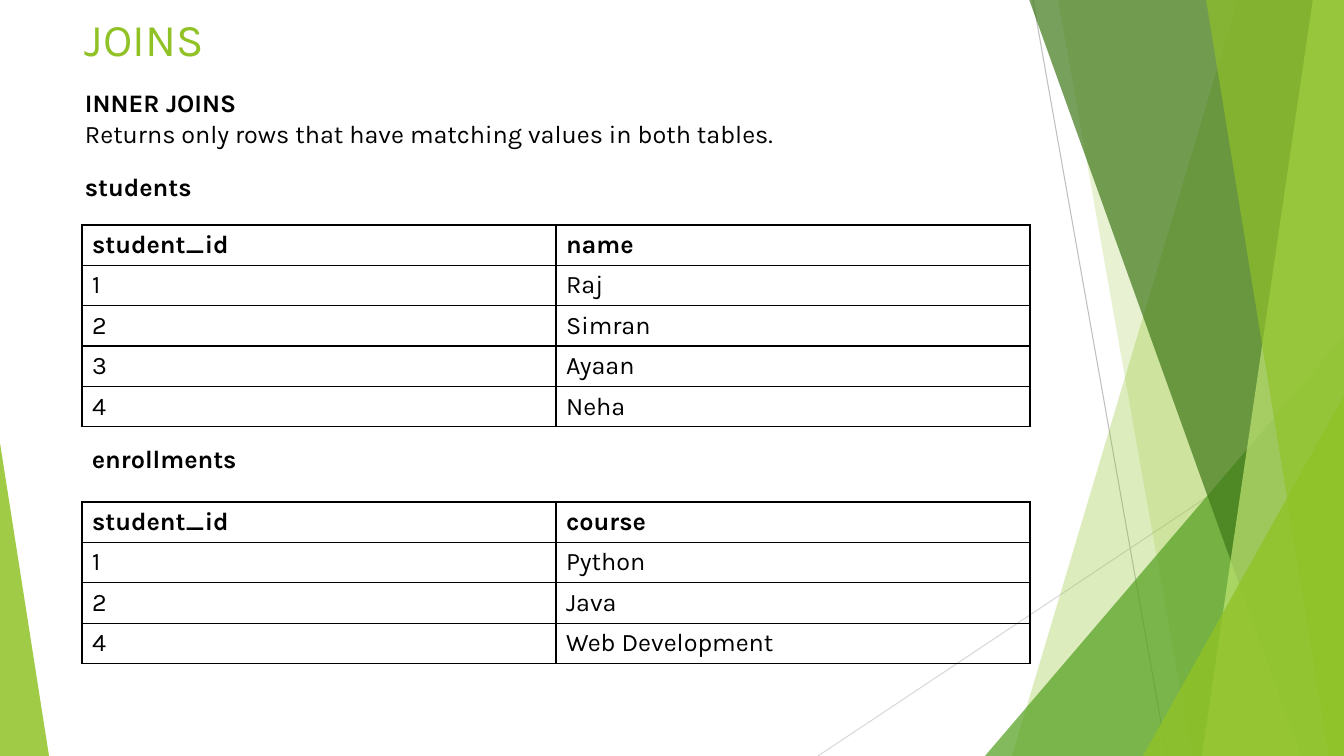
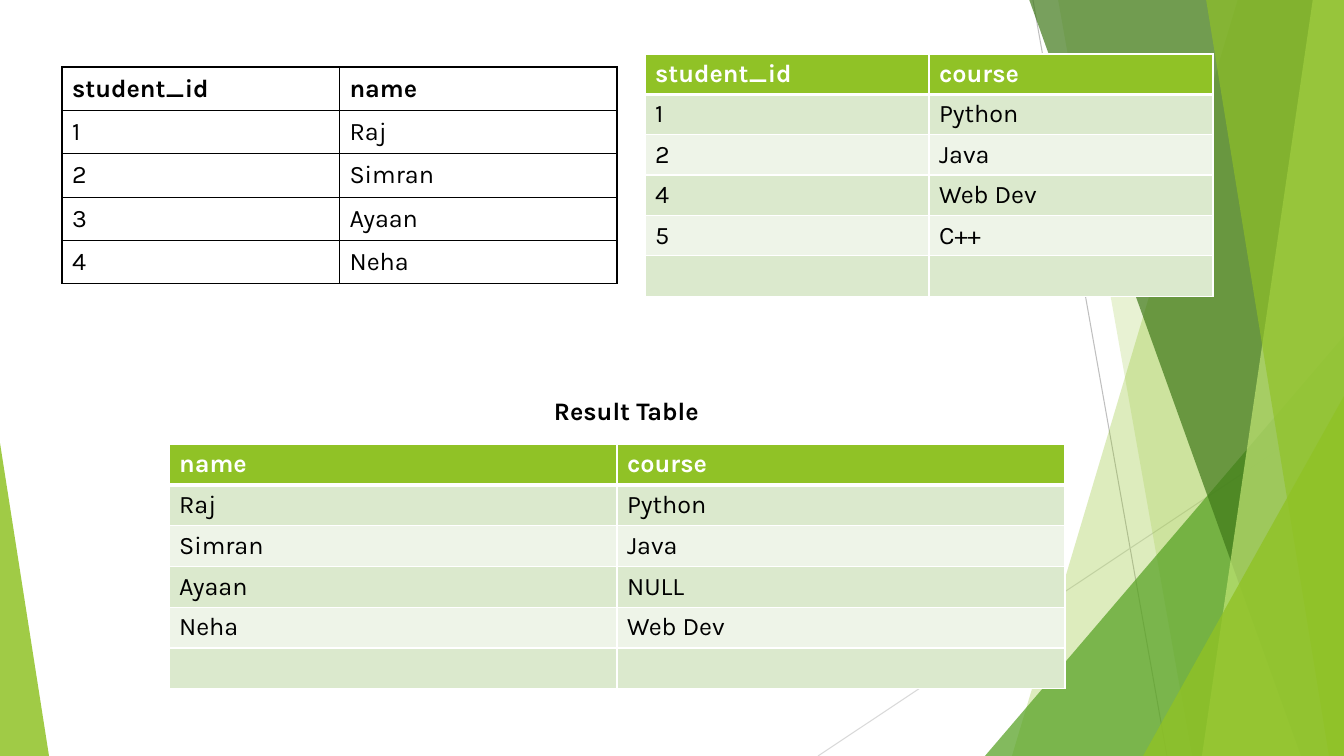
from lxml.etree import SubElement
from pptx import Presentation
from pptx.dml.color import RGBColor
from pptx.enum.shapes import MSO_CONNECTOR as CONNECTOR, MSO_SHAPE as SHAPE
from pptx.enum.text import MSO_ANCHOR as ANCHOR
from pptx.oxml.ns import qn
from pptx.util import Pt

WIDTH, HEIGHT = 1344, 756
PX = 12192000 / WIDTH
FONT = "Karla"
BODY_SIZE, TITLE_SIZE = 18, 32.4
COLORS = {
    "lime": "90C226",
    "green": "54A021",
    "forest": "3F7819",
    "pale": "C0E474",
    "line": "BFBFBF",
    "faint": "D9D9D9",
    "black": "000000",
    "white": "FFFFFF",
    "odd": "DBE9CD",
    "even": "EEF4E8",
}


def write(paragraph, text, color, bold, size=BODY_SIZE):
    run = paragraph.add_run()
    run.text = text
    run.font.name = FONT
    run.font.size = Pt(size)
    run.font.bold = bold
    run.font.color.rgb = RGBColor.from_string(COLORS[color])


def add_table(slide, box, rows, banded):
    x, y, width, height = [round(value * PX) for value in box]
    frame = slide.shapes.add_table(len(rows), len(rows[0]), x, y, width, height)
    table = frame.table
    table.first_row = table.horz_banding = False
    for column in table.columns:
        column.width = width // len(rows[0])
    for row in table.rows:
        row.height = height // len(rows)
    border = COLORS["white" if banded else "black"]
    for r, values in enumerate(rows):
        header = r == 0
        for c, text in enumerate(values):
            cell = table.cell(r, c)
            cell.vertical_anchor = ANCHOR.MIDDLE
            properties = cell._tc.get_or_add_tcPr()
            for side in ("L", "R", "T", "B"):
                below_header = (r, side) in ((0, "B"), (1, "T"))
                weight = 3 if banded and below_header else 1
                line = SubElement(properties, qn(f"a:ln{side}"), w=str(Pt(weight)))
                fill = SubElement(line, qn("a:solidFill"))
                SubElement(fill, qn("a:srgbClr"), val=border)
            if banded:
                shade = "lime" if header else "odd" if r % 2 else "even"
                cell.fill.solid()
                cell.fill.fore_color.rgb = RGBColor.from_string(COLORS[shade])
            else:
                cell.fill.background()
            if text:
                color = "white" if banded and header else "black"
                write(cell.text_frame.paragraphs[0], text, color, header)


presentation = Presentation()
presentation.slide_width = round(WIDTH * PX)
presentation.slide_height = round(HEIGHT * PX)
blank = presentation.slide_layouts[6]
joins = presentation.slides.add_slide(blank)
result = presentation.slides.add_slide(blank)

backdrop = []
for ends, color in [
    ((1033, 0, 1167, HEIGHT), "line"),
    ((WIDTH, 406, 818, HEIGHT), "faint"),
]:
    connector = joins.shapes.add_connector(
        CONNECTOR.STRAIGHT, *[round(value * PX) for value in ends]
    )
    connector.line.color.rgb = RGBColor.from_string(COLORS[color])
    connector.line.width = Pt(0.75)
    SubElement(connector._element.spPr, qn("a:effectLst"))
    backdrop.append(connector)

facets = [
    ("band", (1238, 1012), "lime", 30),
    ("band", (1058, 1192), "lime", 20),
    ("triangle", (985, 336, 359, 420), "green", 72),
    ("band", (1029, 1301), "forest", 70),
    ("band", (1313, 1202), "pale", 70),
    ("band", (1206, 1329), "lime", 65),
    ("triangle", (1143, 396, 201, 360), "lime", 80),
    ("triangle", (0, 443, 49, 313), "lime", 85),
]
for kind, place, color, opacity in facets:
    if kind == "band":
        top, bottom = place
        builder = joins.shapes.build_freeform(top, -1, scale=PX)
        builder.add_line_segments([(WIDTH, -1), (WIDTH, HEIGHT), (bottom, HEIGHT)])
        shape = builder.convert_to_shape()
    else:
        shape = joins.shapes.add_shape(
            SHAPE.ISOSCELES_TRIANGLE, *[round(value * PX) for value in place]
        )
        shape.adjustments[0] = 1 if place[0] else 0
    shape.shadow.inherit = False
    shape.line.fill.background()
    shape.fill.solid()
    shape.fill.fore_color.rgb = RGBColor.from_string(COLORS[color])
    tint = shape._element.spPr.find(f"{qn('a:solidFill')}/{qn('a:srgbClr')}")
    SubElement(tint, qn("a:alpha"), val=str(opacity * 1000))
    backdrop.append(shape)

for shape in backdrop:
    blank.shapes._spTree.append(shape._element)

texts = [
    (joins, (75, 4, 948, 69), [("JOINS", "lime", False, TITLE_SIZE)]),
    (joins, (75, 82, 912, 72), [
        ("INNER JOINS", "black", True),
        ("Returns only rows that have matching values in both tables.", "black", False),
    ]),
    (joins, (75, 166, 151, 40), [("students", "black", True)]),
    (joins, (82, 438, 215, 40), [("enrollments", "black", True)]),
    (result, (544, 390, 589, 40), [("Result Table", "black", True)]),
]
for slide, box, lines in texts:
    textbox = slide.shapes.add_textbox(*[round(value * PX) for value in box])
    frame = textbox.text_frame
    frame.word_wrap = True
    frame.vertical_anchor = ANCHOR.MIDDLE
    for index, line in enumerate(lines):
        paragraph = frame.add_paragraph() if index else frame.paragraphs[0]
        write(paragraph, *line)

students = [
    ("student_id", "name"),
    ("1", "Raj"),
    ("2", "Simran"),
    ("3", "Ayaan"),
    ("4", "Neha"),
]
enrollments = [
    ("student_id", "course"),
    ("1", "Python"),
    ("2", "Java"),
    ("4", "Web Development"),
]
courses = [
    ("student_id", "course"),
    ("1", "Python"),
    ("2", "Java"),
    ("4", "Web Dev"),
    ("5", "C++"),
    ("", ""),
]
joined = [
    ("name", "course"),
    ("Raj", "Python"),
    ("Simran", "Java"),
    ("Ayaan", "NULL"),
    ("Neha", "Web Dev"),
    ("", ""),
]
add_table(joins, (82, 225, 948, 199), students, False)
add_table(joins, (82, 502, 948, 161), enrollments, False)
add_table(result, (62, 67, 555, 217), students, False)
add_table(result, (645, 54, 568, 238), courses, True)
add_table(result, (169, 444, 896, 245), joined, True)

presentation.save("out.pptx")
